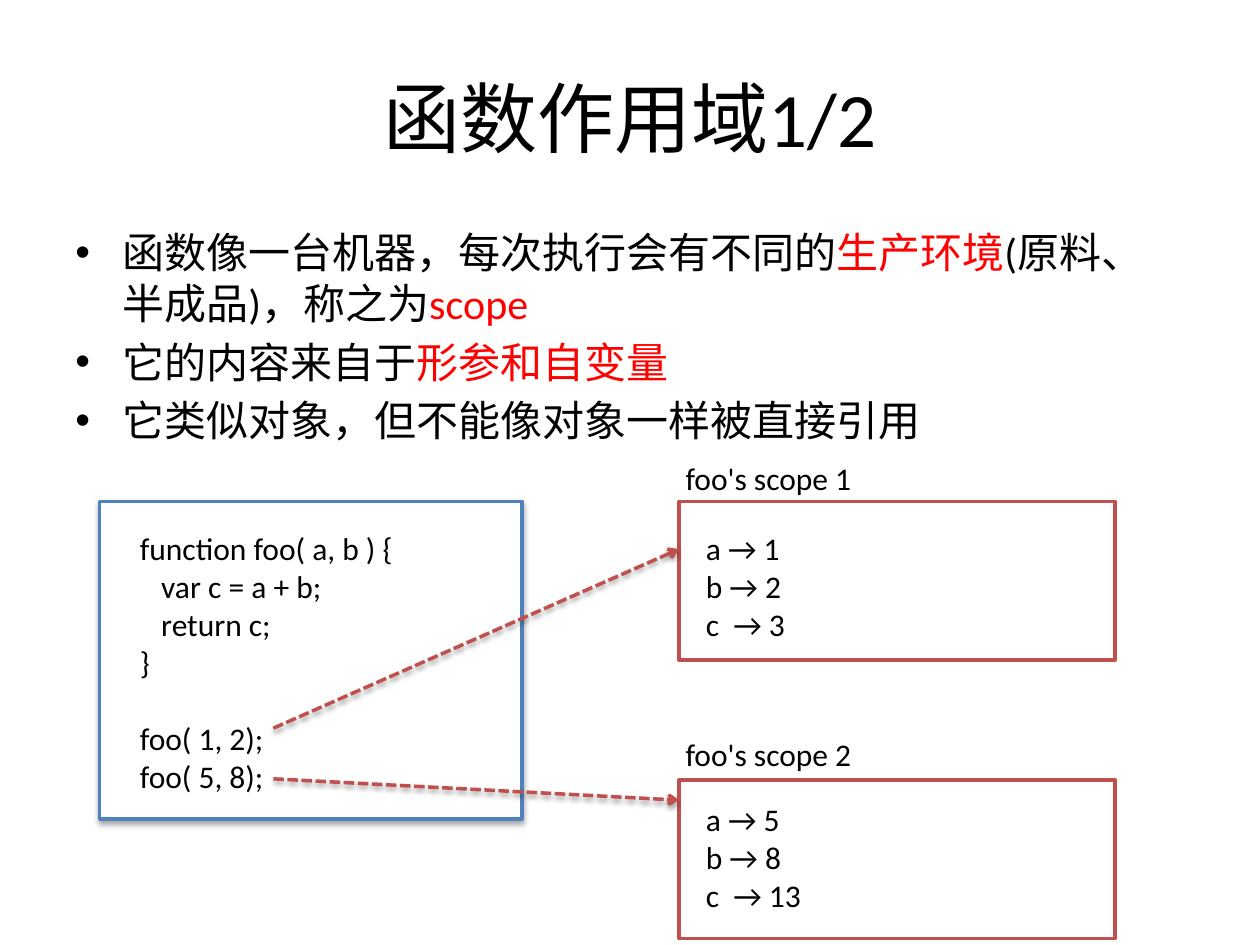
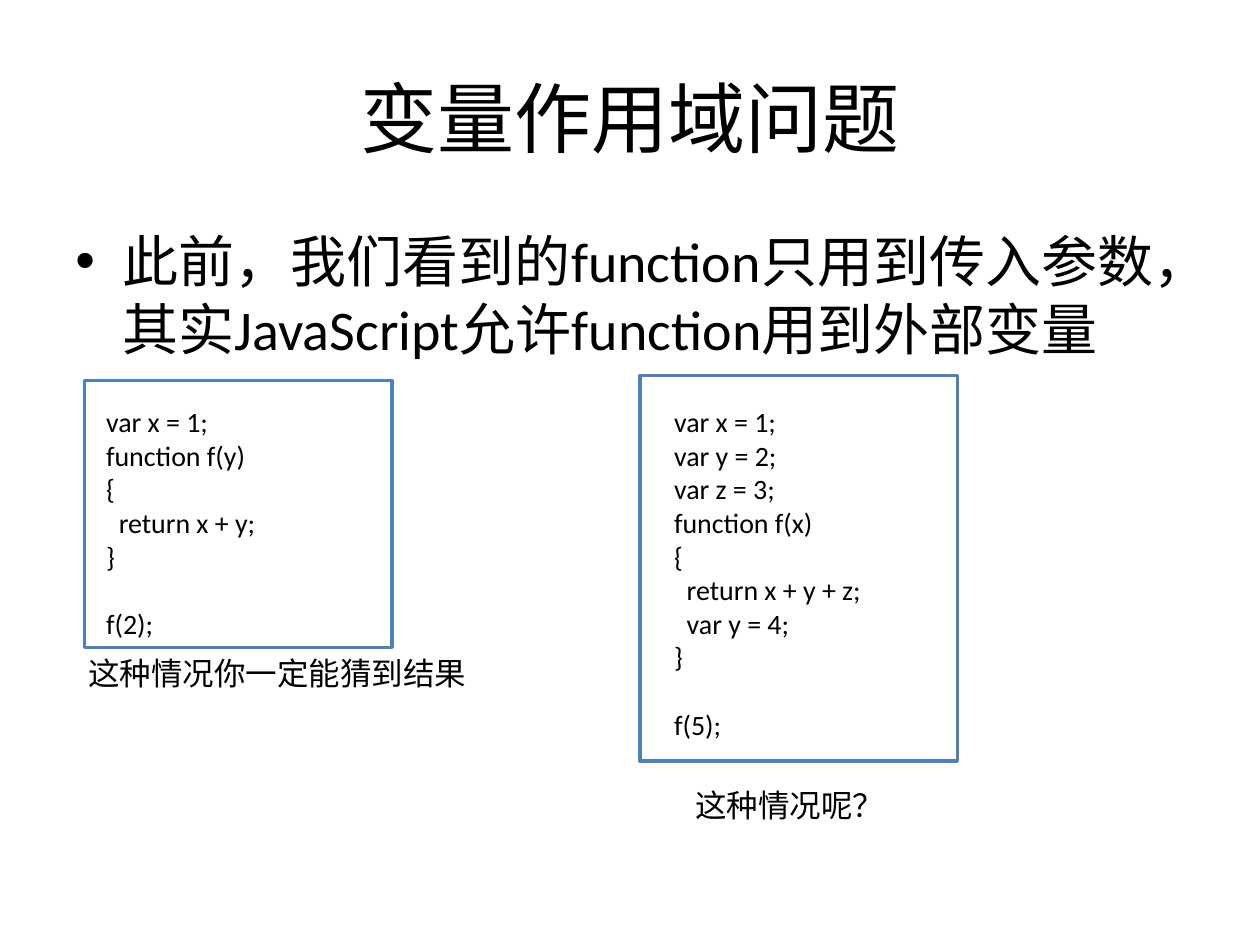
from dataclasses import dataclass
from typing import NamedTuple

import lxml.etree
import pptx
import pptx.dml.color
import pptx.enum.dml
import pptx.enum.shapes
import pptx.enum.text
import pptx.oxml
import pptx.oxml.ns
import pptx.util

Cm = pptx.util.Cm
Pt = pptx.util.Pt


@dataclass(frozen=True)
class Theme:
    font: str = "Calibri"
    text: str = "000000"
    accent: str = "FF0000"
    paper: str = "FFFFFF"
    blue: str = "4F81BD"
    red: str = "C0504D"
    title_size: int = 44
    label_size: int = 18
    snippet_size: int = 16
    line_width: int = 2
    line_height: float = 1.22
    space_width: float = 0.226
    bullet_gap: float = 0.2


THEME = Theme()


class Box(NamedTuple):
    left: float
    top: float
    width: float
    height: float

    def lengths(self) -> list:
        return [Cm(value) for value in self]


class Span(NamedTuple):
    text: str
    accent: bool = False


@dataclass(frozen=True)
class Scope:
    label: str
    values: str
    top: float
    label_top: float
    values_top: float
    call_y: float
    arrow_end_y: float


@dataclass(frozen=True)
class Snippet:
    code: str
    frame: Box
    code_box: Box
    caption: str
    caption_box: Box


TITLE_BOX = Box(1.27, 0.76, 22.86, 3.18)
BULLET_INDENT = Cm(0.95)
SCOPE_LEFT = 13.69
CALL_RIGHT = 5.51

FOO_CODE = """function foo( a, b ) {
   var c = a + b;
   return c;
}

foo( 1, 2);
foo( 5, 8);"""

SCOPES = [
    Scope("foo's scope 1", "a → 1\nb → 2\nc  → 3", 10.11, 9.12, 10.54, 14.68, 11.07),
    Scope("foo's scope 2", "a → 5\nb → 8\nc  → 13", 15.72, 14.68, 16.0, 15.7, 16.13),
]

SCOPE_BULLETS = [
    [
        Span("函数像一台机器，每次执行会有不同的"),
        Span("生产环境", True),
        Span("(原料、半成品)，称之为"),
        Span("scope", True),
    ],
    [Span("它的内容来自于"), Span("形参和自变量", True)],
    [Span("它类似对象，但不能像对象一样被直接引用")],
]

VARIABLE_BULLETS = [
    [Span("此前，我们看到的function只用到传入参数，其实JavaScript允许function用到外部变量")],
]

SNIPPETS = [
    Snippet(
        """var x = 1;
var y = 2;
var z = 3;
function f(x)
{
  return x + y + z;
  var y = 4;
}

f(5);""",
        Box(12.9, 7.57, 6.4, 7.77),
        Box(13.46, 8.03, 7.09, 7.09),
        "这种情况呢？",
        Box(13.89, 15.72, 8.41, 1.02),
    ),
    Snippet(
        """var x = 1;
function f(y)
{
  return x + y;
}

f(2);""",
        Box(1.7, 7.67, 6.2, 5.38),
        Box(2.01, 8.03, 7.09, 5.05),
        "这种情况你一定能猜到结果",
        Box(1.65, 13.06, 8.41, 1.02),
    ),
]


def rgb(value: str) -> pptx.dml.color.RGBColor:
    return pptx.dml.color.RGBColor.from_string(value)


def style_run(run, size: float, color: str = THEME.text) -> None:
    run.font.name = THEME.font
    run.font.size = Pt(size)
    run.font.color.rgb = rgb(color)


def set_effects(shape, shadow: bool, alpha: int = 35, distance: float = 1.8) -> None:
    properties = shape._element.spPr
    for old in properties.findall(pptx.oxml.ns.qn("a:effectLst")):
        properties.remove(old)
    effects = lxml.etree.SubElement(properties, pptx.oxml.ns.qn("a:effectLst"))
    if shadow:
        outer = lxml.etree.SubElement(
            effects, pptx.oxml.ns.qn("a:outerShdw"),
            blurRad="40000", dist=str(Pt(distance)), dir="5400000", rotWithShape="0",
        )
        color = lxml.etree.SubElement(outer, pptx.oxml.ns.qn("a:srgbClr"), val=THEME.text)
        lxml.etree.SubElement(color, pptx.oxml.ns.qn("a:alpha"), val=str(alpha * 1000))


def add_text_frame(slide, box: Box):
    text_frame = slide.shapes.add_textbox(*box.lengths()).text_frame
    text_frame.word_wrap = True
    return text_frame


def add_title(slide, text: str) -> None:
    text_frame = add_text_frame(slide, TITLE_BOX)
    text_frame.vertical_anchor = pptx.enum.text.MSO_ANCHOR.MIDDLE
    text_frame.text = text
    paragraph = text_frame.paragraphs[0]
    paragraph.alignment = pptx.enum.text.PP_ALIGN.CENTER
    style_run(paragraph.runs[0], THEME.title_size)


def add_bullets(slide, box: Box, bullets: list[list[Span]], size: int) -> None:
    text_frame = add_text_frame(slide, box)
    for index, spans in enumerate(bullets):
        paragraph = text_frame.add_paragraph() if index else text_frame.paragraphs[0]
        paragraph.space_before = Pt(size * THEME.bullet_gap)
        properties = paragraph._p.get_or_add_pPr()
        properties.set("marL", str(BULLET_INDENT))
        properties.set("indent", str(-BULLET_INDENT))
        lxml.etree.SubElement(properties, pptx.oxml.ns.qn("a:buFont"), typeface="Arial")
        lxml.etree.SubElement(properties, pptx.oxml.ns.qn("a:buChar"), char="•")
        for span in spans:
            run = paragraph.add_run()
            run.text = span.text
            style_run(run, size, THEME.accent if span.accent else THEME.text)


def add_lines(slide, box: Box, text: str, size: int = THEME.label_size) -> None:
    text_frame = add_text_frame(slide, box)
    text_frame.auto_size = pptx.enum.text.MSO_AUTO_SIZE.SHAPE_TO_FIT_TEXT
    text_frame.margin_left = text_frame.margin_right = Cm(0.13)
    text_frame.margin_top = text_frame.margin_bottom = Cm(0.13)
    blocks = [block.split("\n") for block in text.split("\n\n")]
    lines = [(line, index > 0 and line is block[0])
             for index, block in enumerate(blocks) for line in block]
    text_frame.text = "\n".join(line.lstrip() for line, _ in lines)
    for paragraph, (line, starts_block) in zip(text_frame.paragraphs, lines):
        depth = len(line) - len(line.lstrip())
        if depth:
            margin = Pt(depth * size * THEME.space_width)
            paragraph._p.get_or_add_pPr().set("marL", str(margin))
        if starts_block:
            paragraph.space_before = Pt(size * THEME.line_height)
        style_run(paragraph.runs[0], size)


def add_frame(slide, box: Box, color: str, shadow: bool = False) -> None:
    shape = slide.shapes.add_shape(
        pptx.enum.shapes.MSO_SHAPE.RECTANGLE, *box.lengths())
    shape.shadow.inherit = False
    shape.fill.solid()
    shape.fill.fore_color.rgb = rgb(THEME.paper)
    shape.line.color.rgb = rgb(color)
    shape.line.width = Pt(THEME.line_width)
    set_effects(shape, shadow)


def add_call_arrow(slide, scope: Scope) -> None:
    connector = slide.shapes.add_connector(
        pptx.enum.shapes.MSO_CONNECTOR.STRAIGHT,
        Cm(CALL_RIGHT), Cm(scope.call_y), Cm(SCOPE_LEFT), Cm(scope.arrow_end_y))
    connector.line.color.rgb = rgb(THEME.red)
    connector.line.width = Pt(THEME.line_width)
    connector.line.dash_style = pptx.enum.dml.MSO_LINE.SQUARE_DOT
    lxml.etree.SubElement(
        connector.line._get_or_add_ln(), pptx.oxml.ns.qn("a:tailEnd"), type="arrow")
    set_effects(connector, True, alpha=38, distance=1.6)


def add_scope(slide, scope: Scope) -> None:
    add_frame(slide, Box(SCOPE_LEFT, scope.top, 8.79, 3.2), THEME.red)
    add_lines(slide, Box(SCOPE_LEFT, scope.label_top, 5.99, 1.02), scope.label)
    add_lines(slide, Box(14.1, scope.values_top, 7.01, 2.57), scope.values)
    add_call_arrow(slide, scope)


def add_snippet(slide, snippet: Snippet) -> None:
    add_frame(slide, snippet.frame, THEME.blue)
    add_lines(slide, snippet.code_box, snippet.code, THEME.snippet_size)
    add_lines(slide, snippet.caption_box, snippet.caption)


def add_slide(presentation, title: str):
    slide = presentation.slides.add_slide(presentation.slide_layouts[6])
    add_title(slide, title)
    return slide


def build_function_scope(presentation) -> None:
    slide = add_slide(presentation, "函数作用域1/2")
    add_bullets(slide, Box(1.27, 4.45, 22.86, 12.57), SCOPE_BULLETS, 24)
    add_frame(slide, Box(2.01, 10.11, 8.51, 6.4), THEME.blue, shadow=True)
    add_lines(slide, Box(2.69, 10.54, 6.6, 5.64), FOO_CODE)
    for scope in SCOPES:
        add_scope(slide, scope)


def build_variable_scope(presentation) -> None:
    slide = add_slide(presentation, "变量作用域问题")
    add_bullets(slide, Box(1.27, 4.45, 23.04, 3.48), VARIABLE_BULLETS, 32)
    for snippet in SNIPPETS:
        add_snippet(slide, snippet)


def main() -> None:
    presentation = pptx.Presentation()
    presentation.slide_width = Cm(25.4)
    presentation.slide_height = Cm(19.05)
    build_function_scope(presentation)
    build_variable_scope(presentation)
    presentation.save("out.pptx")


if __name__ == "__main__":
    main()
